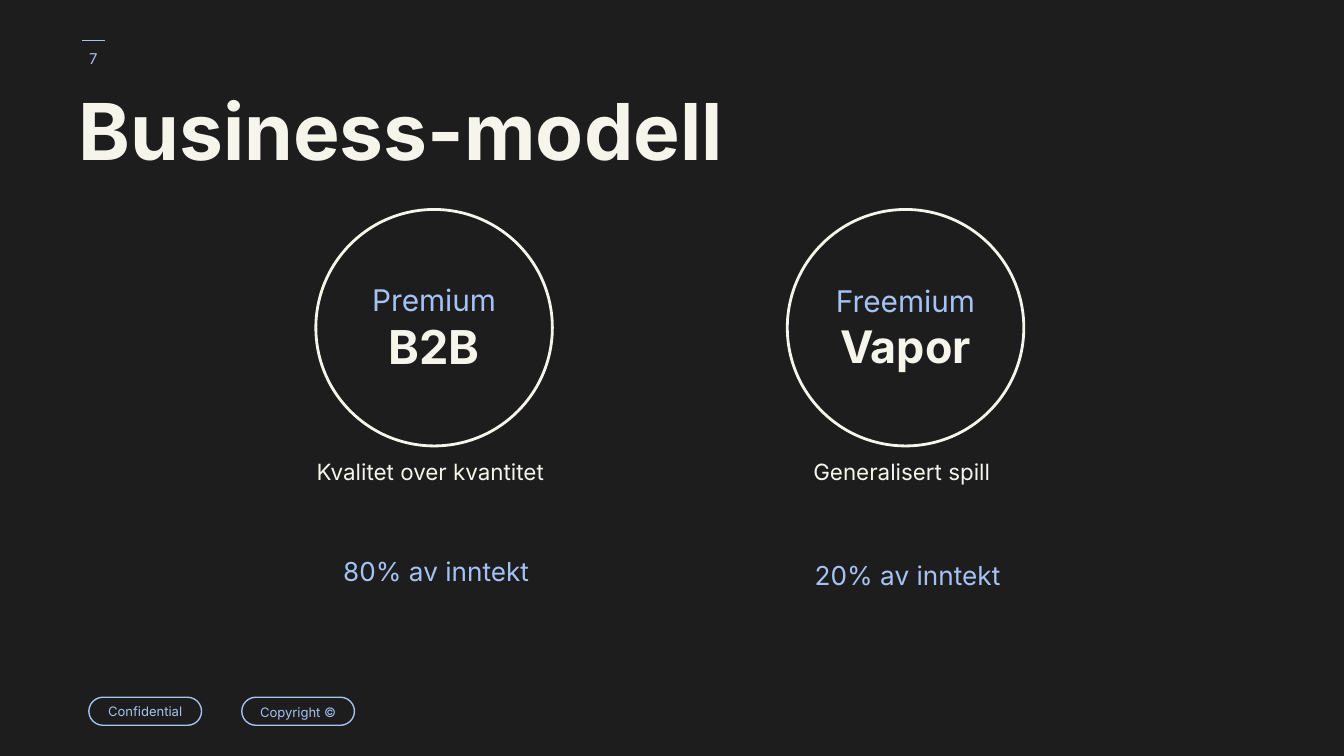
from pptx import Presentation
from pptx.dml.color import RGBColor
from pptx.enum.shapes import MSO_CONNECTOR as Wire, MSO_SHAPE as Form
from pptx.enum.text import MSO_ANCHOR as Anchor, MSO_AUTO_SIZE as Fit, PP_ALIGN as Align
from pptx.oxml.ns import qn
from pptx.util import Cm, Pt
from lxml import etree

DARK, CREAM, BLUE = "1D1D1D", "F6F5EC", "A4C2F4"
FONT = "Inter"


def color(code):
    return RGBColor.from_string(code)


def write(shape, lines, anchor=Anchor.TOP, align=Align.CENTER, gap=1.0):
    """Fill a shape with lines given as (text, size, colour, bold)."""
    frame = shape.text_frame
    frame.word_wrap = True
    frame.auto_size = Fit.NONE
    frame.vertical_anchor = anchor
    frame.margin_left = frame.margin_right = Cm(0.25)
    frame.margin_top = frame.margin_bottom = Cm(0.25)
    for i, (text, size, tint, bold) in enumerate(lines):
        para = frame.paragraphs[0] if i == 0 else frame.add_paragraph()
        para.alignment = align
        para.line_spacing = gap
        run = para.add_run()
        run.text = text
        font = run.font
        font.name, font.size, font.bold = FONT, Pt(size), bold
        font.color.rgb = color(tint)


def label(slide, box, text, size, tint, **look):
    area = slide.shapes.add_textbox(*map(Cm, box))
    write(area, [(text, size, tint, False)], **look)


def pill(slide, box, lines, tint, weight, gap=1.0):
    """Outlined shape with fully rounded ends; a circle when square."""
    shape = slide.shapes.add_shape(Form.ROUNDED_RECTANGLE, *map(Cm, box))
    shape.adjustments[0] = 0.5
    shape.shadow.inherit = False
    shape.fill.background()
    shape.line.color.rgb = color(tint)
    shape.line.width = Pt(weight)
    write(shape, lines, Anchor.MIDDLE, gap=gap)


def header(slide, left, top, title):
    label(slide, (left - 0.07, top, 1.19, 1.09), "7", 8, BLUE, anchor=Anchor.MIDDLE)
    rule = slide.shapes.add_connector(
        Wire.STRAIGHT, Cm(left + 0.74), Cm(top + 0.21), Cm(left + 0.31), Cm(top + 0.21))
    rule.line.color.rgb = color(BLUE)
    rule.line.width = Pt(0.75)
    etree.SubElement(rule.element.spPr, qn("a:effectLst"))

    head = slide.shapes.title
    head.left, head.top = Cm(left), Cm(top + 1.09)
    head.width, head.height = Cm(18.8), Cm(2.31)
    write(head, [(title, 42, CREAM, True)], align=Align.LEFT, gap=0.8)


def model(slide, left, top, kind, name, size, note, share, gap):
    """Circle with the model name, then its note and income share below."""
    side = 4.47
    mid = left + side / 2
    label(slide, (mid - 2.87, top + 4.45, 5.6, 1.85), note, 12, CREAM)
    label(slide, (mid - 2.32, top + 6.28, 4.72, 2.44), share, 14, BLUE, gap=gap)
    lines = [(kind, 16, BLUE, False), (name, size, CREAM, True)]
    pill(slide, (left, top, side, side), lines, CREAM, 1.5)


def footer(slide, left, top):
    for i, (text, gap) in enumerate([("Confidential", 1.0), ("Copyright ©", 1.15)]):
        box = (left + i * 2.89, top, 2.13, 0.53)
        pill(slide, box, [(text, 7, BLUE, False)], BLUE, 0.75, gap)


def main():
    deck = Presentation()
    deck.slide_width, deck.slide_height = Cm(25.4), Cm(14.29)
    slide = deck.slides.add_slide(deck.slide_layouts[5])
    slide.background.fill.solid()
    slide.background.fill.fore_color.rgb = color(DARK)

    header(slide, 1.24, 0.56, "Business-modell")
    model(slide, 5.97, 3.96, "Premium", "B2B", 25,
          "Kvalitet over kvantitet", "80% av inntekt", 1.0)
    model(slide, 14.88, 3.96, "Freemium", "Vapor", 24,
          "Generalisert spill", "20% av inntekt", 1.15)
    footer(slide, 1.68, 13.18)
    deck.save("out.pptx")


if __name__ == "__main__":
    main()
